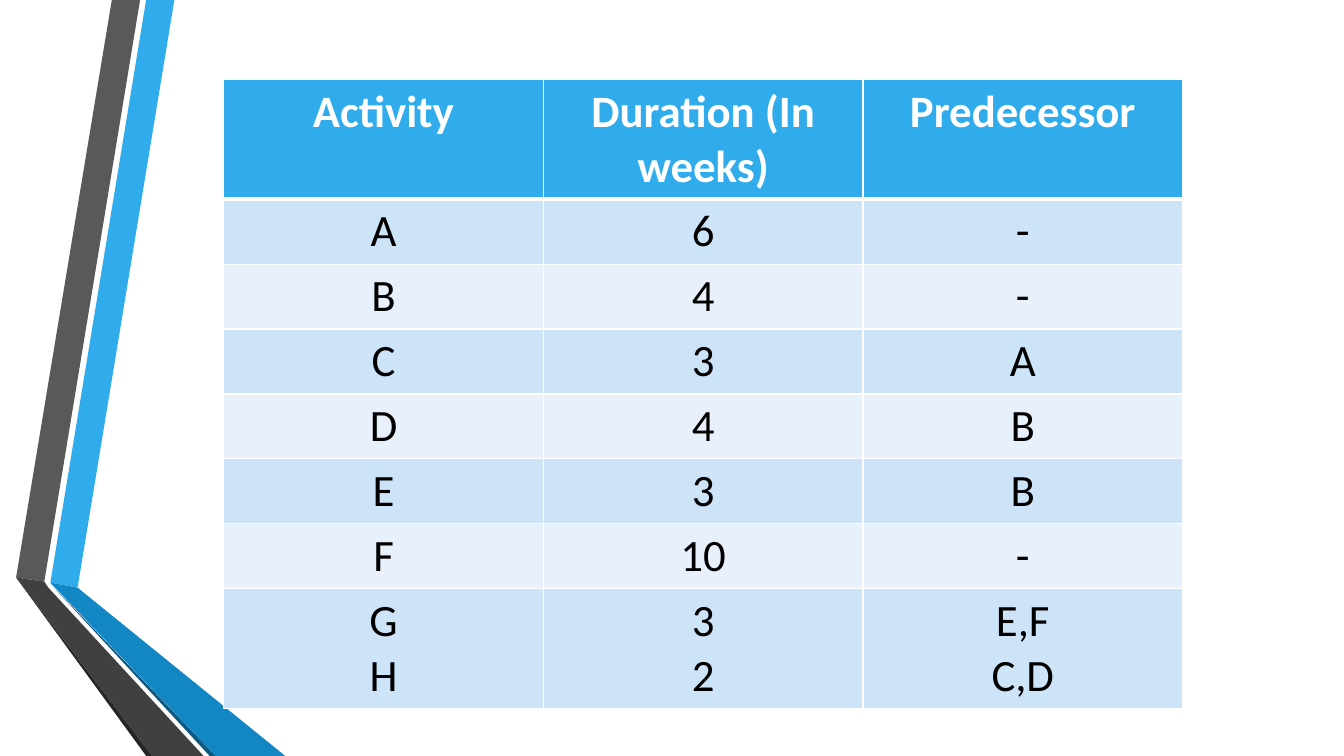
import pptx
import pptx.util
import pptx.dml.color
import pptx.enum.text
import pptx.oxml
import pptx.oxml.ns
from dataclasses import dataclass

Inches = pptx.util.Inches
Pt = pptx.util.Pt
RGB = pptx.dml.color.RGBColor.from_string


@dataclass(frozen=True)
class Theme:
    font: str = "Calibri"
    size: int = 32
    white: str = "FFFFFF"
    black: str = "000000"
    blue: str = "30ACEC"
    blue_dark: str = "1287C3"
    blue_edge: str = "0C5A82"
    gray: str = "595959"
    gray_dark: str = "404040"
    gray_edge: str = "262626"
    band_odd: str = "CDE3F8"
    band_even: str = "E8F1FB"
    rule: int = 1
    header_rule: int = 3


THEME = Theme()

RIBBONS = [
    (THEME.blue, [(0.5, 5.78), (0.77, 5.83), (1.73, 0), (1.45, 0)]),
    (THEME.gray, [(1.39, 0), (1.11, 0), (0.16, 5.73), (0.44, 5.77)]),
    (THEME.gray_edge, [(0.16, 5.73), (1.45, 7.5), (1.51, 7.5)]),
    (THEME.blue_edge, [(0.5, 5.79), (2.08, 7.5), (2.14, 7.5)]),
    (THEME.blue_dark, [(0.5, 5.78), (2.14, 7.5), (2.83, 7.5), (0.77, 5.83)]),
    (THEME.gray_dark, [(2.02, 7.5), (0.48, 5.83), (0.44, 5.77), (0.16, 5.73), (1.51, 7.5)]),
]

HEADER = ["Activity", "Duration (In weeks)", "Predecessor"]
ACTIVITIES = [
    ["A", "6", "-"],
    ["B", "4", "-"],
    ["C", "3", "A"],
    ["D", "4", "B"],
    ["E", "3", "B"],
    ["F", "10", "-"],
    ["G\nH", "3\n2", "E,F\nC,D"],
]


def add_ribbons(slide, left, top):
    for color, outline in RIBBONS:
        points = [(Inches(left + x), Inches(top + y)) for x, y in outline]
        builder = slide.shapes.build_freeform(*points[0])
        builder.add_line_segments(points[1:], close=True)
        sp = builder.convert_to_shape()
        sp.shadow.inherit = False
        sp.fill.solid()
        sp.fill.fore_color.rgb = RGB(color)
        sp.line.fill.background()


def set_borders(cell, widths):
    tcPr = cell._tc.get_or_add_tcPr()
    for i, (side, width) in enumerate(widths.items()):
        ln = pptx.oxml.parse_xml(
            f'<a:ln{side} {pptx.oxml.ns.nsdecls("a")} w="{Pt(width)}">'
            f'<a:solidFill><a:srgbClr val="{THEME.white}"/></a:solidFill></a:ln{side}>'
        )
        tcPr.insert(i, ln)


def format_cell(cell, text, row):
    is_header = row == 0
    top = THEME.header_rule if row == 1 else THEME.rule
    bottom = THEME.header_rule if is_header else THEME.rule
    set_borders(cell, {"L": THEME.rule, "R": THEME.rule, "T": top, "B": bottom})
    band = THEME.band_odd if row % 2 else THEME.band_even
    cell.fill.solid()
    cell.fill.fore_color.rgb = RGB(THEME.blue if is_header else band)
    cell.text_frame.text = text
    for p in cell.text_frame.paragraphs:
        p.alignment = pptx.enum.text.PP_ALIGN.CENTER
        for r in p.runs:
            r.font.name = THEME.font
            r.font.size = Pt(THEME.size)
            r.font.bold = is_header
            r.font.color.rgb = RGB(THEME.white if is_header else THEME.black)


def add_activity_table(slide, left, top, width, height):
    rows = [HEADER] + ACTIVITIES
    tall = 1.16
    short = (height - 2 * tall) / (len(rows) - 2)
    table = slide.shapes.add_table(
        len(rows), len(HEADER), Inches(left), Inches(top), Inches(width), Inches(height)
    ).table
    for i, values in enumerate(rows):
        table.rows[i].height = Inches(tall if i in (0, len(rows) - 1) else short)
        for j, text in enumerate(values):
            format_cell(table.cell(i, j), text, i)


def main():
    prs = pptx.Presentation()
    prs.slide_width = Inches(13.33)
    prs.slide_height = Inches(7.5)
    slide = prs.slides.add_slide(prs.slide_layouts.get_by_name("Blank"))
    add_ribbons(slide, 0, 0)
    add_activity_table(slide, 2.22, 0.79, 9.51, 6.13)
    prs.save("out.pptx")


if __name__ == "__main__":
    main()
